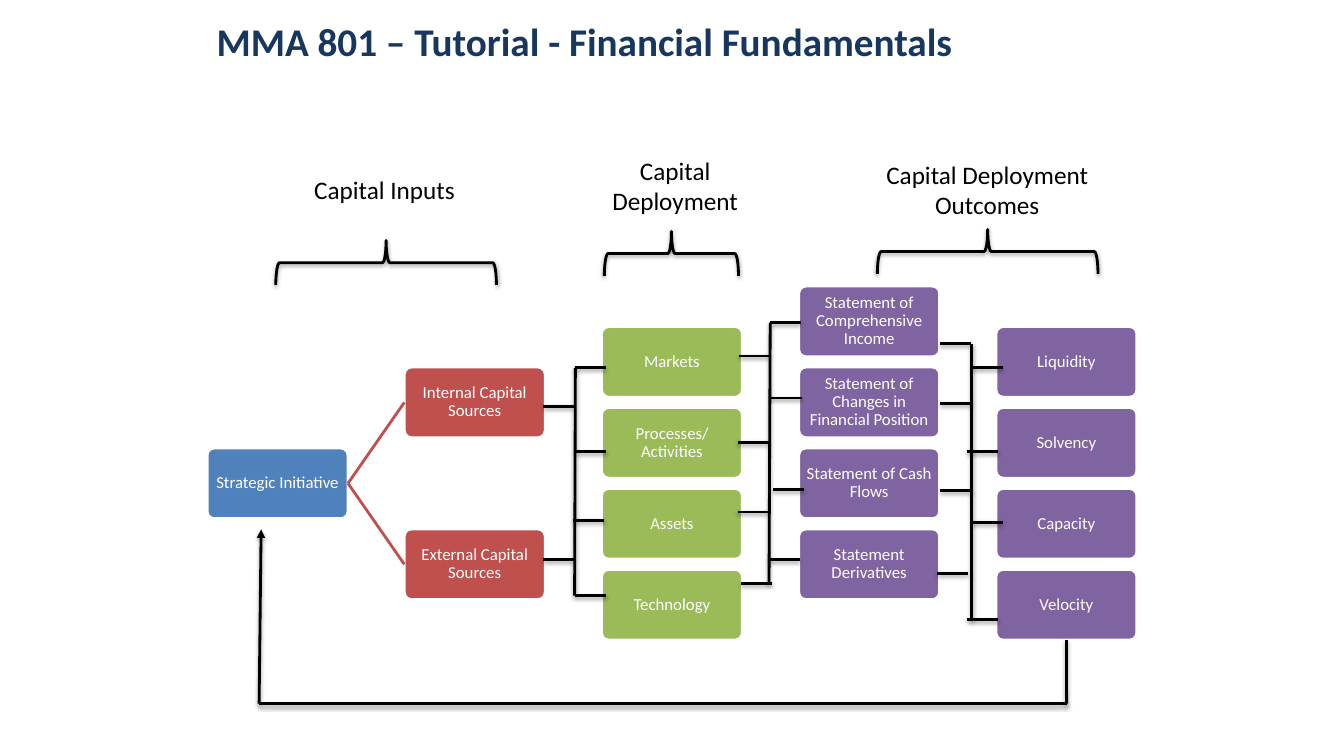
from pptx import Presentation
from pptx.dml.color import RGBColor
from pptx.enum.shapes import MSO_CONNECTOR, MSO_SHAPE
from pptx.enum.text import MSO_ANCHOR as Anchor, MSO_AUTO_SIZE as AutoSize, PP_ALIGN as Align
from pptx.oxml import parse_xml
from pptx.oxml.ns import nsdecls, qn
from pptx.util import Cm, Pt

WHITE = RGBColor(0xFF, 0xFF, 0xFF)
BLACK = RGBColor(0x00, 0x00, 0x00)
NAVY = RGBColor(0x17, 0x37, 0x5E)
BLUE = RGBColor(0x4F, 0x81, 0xBD)
RED = RGBColor(0xC0, 0x50, 0x4D)
GREEN = RGBColor(0x9B, 0xBB, 0x59)
PURPLE = RGBColor(0x80, 0x64, 0xA2)

# The stage grid, in cm; neighbouring boxes in a stage are two half rows apart.
GRID_LEFT, GRID_TOP = 5.22, 7.21
STAGE_PITCH, HALF_ROW = 4.97, 1.02
BOX_WIDTH, BOX_HEIGHT = 3.55, 1.78
STUB_LENGTH = 0.78

# Each stage: colour, then (half row, label) for each box.
STAGES = [
    (BLUE, [(4, "Strategic Initiative")]),
    (RED, [(2, "Internal Capital Sources"), (6, "External Capital Sources")]),
    (GREEN, [(1, "Markets"), (3, "Processes/Activities"),
             (5, "Assets"), (7, "Technology")]),
    (PURPLE, [(0, "Statement of Comprehensive Income"),
              (2, "Statement of Changes in Financial Position"),
              (4, "Statement of Cash Flows"), (6, "Statement Derivatives")]),
    (PURPLE, [(1, "Liquidity"), (3, "Solvency"), (5, "Capacity"), (7, "Velocity")]),
]

# Each bus: trunk start, trunk end, then the left end of every stub.
BUSES = [
    ((14.5, 9.27), (14.48, 15.01),
     [(13.69, 10.24), (13.69, 14.1),
      (14.48, 9.27), (14.5, 11.38), (14.45, 13.11), (14.5, 15.01)]),
    ((19.41, 8.13), (19.38, 14.71),
     [(18.62, 8.97), (18.59, 11.15), (18.59, 12.9), (18.67, 14.71),
      (19.41, 8.13), (19.43, 10.03), (19.48, 12.34), (19.38, 14.1)]),
    ((24.49, 8.66), (24.49, 15.6),
     [(23.7, 8.66), (23.7, 10.16), (23.7, 12.37), (23.62, 14.45),
      (24.49, 9.27), (24.38, 11.38), (24.49, 13.16), (24.38, 15.62)]),
]

# Each phase: label, label area, alignment, brace centre, brace span.
PHASES = [
    ("Capital Inputs", (7.67, 4.27, 4.37, 1.02), Align.LEFT, (9.73, 6.62), 5.56),
    ("Capital Deployment", (14.83, 3.78, 4.37, 1.8), Align.CENTER, (16.92, 6.39), 3.38),
    ("Capital Deployment Outcomes", (21.59, 3.89, 6.58, 1.8), Align.CENTER,
     (24.89, 6.34), 5.56),
]
BRACE_DEPTH = 1.12

BOX_FRAME = {"word_wrap": True, "vertical_anchor": Anchor.MIDDLE,
             "margin_left": Cm(0.03), "margin_right": Cm(0.03),
             "margin_top": Cm(0.03), "margin_bottom": Cm(0.03)}
BOX_PARAGRAPH = {"alignment": Align.CENTER, "line_spacing": 0.9}
BOX_FONT = {"name": "Calibri", "size": Pt(12), "bold": False}
TITLE_FRAME = {"word_wrap": True, "vertical_anchor": Anchor.MIDDLE}
TITLE_FONT = {"name": "Calibri", "size": Pt(28), "bold": True}
LABEL_FRAME = {"word_wrap": True, "auto_size": AutoSize.SHAPE_TO_FIT_TEXT}
LABEL_FONT = {"name": "Calibri", "size": Pt(18), "bold": False}

SOFT_SHADOW = ('<a:outerShdw blurRad="39370" dist="20320" dir="5400000" rotWithShape="0">'
               '<a:srgbClr val="000000"><a:alpha val="38000"/></a:srgbClr></a:outerShdw>')


def apply_format(target, values):
    for name, value in values.items():
        setattr(target, name, value)


def write_text(shape, text, color, frame_format, paragraph_format, font_format):
    frame = shape.text_frame
    frame.text = text
    paragraph = frame.paragraphs[0]
    font = paragraph.runs[0].font
    apply_format(frame, frame_format)
    apply_format(paragraph, paragraph_format)
    apply_format(font, font_format)
    font.color.rgb = color


def set_outline(shape, color, effect=""):
    """Give a 2 pt outline and replace the theme effects with the given one."""
    shape.line.color.rgb = color
    shape.line.width = Pt(2)
    shape.element.spPr.append(
        parse_xml(f"<a:effectLst {nsdecls('a')}>{effect}</a:effectLst>"))


def add_box(slide, stage, half_row, label, color):
    box = slide.shapes.add_shape(
        MSO_SHAPE.ROUNDED_RECTANGLE,
        Cm(GRID_LEFT + stage * STAGE_PITCH), Cm(GRID_TOP + half_row * HALF_ROW),
        Cm(BOX_WIDTH), Cm(BOX_HEIGHT))
    box.adjustments[0] = 0.1
    box.fill.solid()
    box.fill.fore_color.rgb = color
    set_outline(box, WHITE)
    write_text(box, label, WHITE, BOX_FRAME, BOX_PARAGRAPH, BOX_FONT)
    return box


def add_line(slide, start, end, color=BLACK, effect=SOFT_SHADOW):
    line = slide.shapes.add_connector(
        MSO_CONNECTOR.STRAIGHT, *(Cm(length) for length in (*start, *end)))
    set_outline(line, color, effect)
    return line


def add_branch(slide, source, target):
    branch = add_line(slide, (0, 0), (1, 1), RED, "")
    branch.begin_connect(source, 3)
    branch.end_connect(target, 1)


def add_bus(slide, trunk_start, trunk_end, stubs):
    """Draw a trunk with short horizontal stubs on both sides."""
    add_line(slide, trunk_start, trunk_end)
    for left, y in stubs:
        add_line(slide, (left, y), (left + STUB_LENGTH, y))


def add_text(slide, text, area, color, frame_format, alignment, font_format):
    textbox = slide.shapes.add_textbox(*(Cm(length) for length in area))
    write_text(textbox, text, color, frame_format, {"alignment": alignment}, font_format)


def add_brace(slide, center, span):
    """Draw a brace that opens downwards around the given centre."""
    x, y = center
    brace = slide.shapes.add_shape(
        MSO_SHAPE.LEFT_BRACE, Cm(x - BRACE_DEPTH / 2), Cm(y - span / 2),
        Cm(BRACE_DEPTH), Cm(span))
    brace.rotation = 90
    brace.fill.background()
    set_outline(brace, BLACK, SOFT_SHADOW)


def add_feedback_loop(slide, velocity):
    right_corner, left_corner = (26.88, 17.73), (6.53, 17.73)
    drop = add_line(slide, (26.88, 16.13), right_corner)
    drop.begin_connect(velocity, 2)
    add_line(slide, right_corner, left_corner)
    rise = add_line(slide, left_corner, (6.58, 13.34))
    rise.element.spPr.find(qn("a:ln")).append(
        parse_xml(f'<a:tailEnd {nsdecls("a")} type="triangle"/>'))


def main():
    deck = Presentation()
    deck.slide_width, deck.slide_height = Cm(33.87), Cm(19.05)
    slide = deck.slides.add_slide(deck.slide_layouts[6])

    boxes = {}
    for stage, (color, entries) in enumerate(STAGES):
        for half_row, label in entries:
            boxes[label] = add_box(slide, stage, half_row, label, color)
    for source_label in ("Internal Capital Sources", "External Capital Sources"):
        add_branch(slide, boxes["Strategic Initiative"], boxes[source_label])

    add_text(slide, "MMA 801 – Tutorial - Financial Fundamentals",
             (5.21, 0.13, 20.83, 1.8), NAVY, TITLE_FRAME, Align.LEFT, TITLE_FONT)
    for bus in BUSES:
        add_bus(slide, *bus)
    for label, area, alignment, center, span in PHASES:
        add_brace(slide, center, span)
        add_text(slide, label, area, BLACK, LABEL_FRAME, alignment, LABEL_FONT)
    add_feedback_loop(slide, boxes["Velocity"])

    deck.save("out.pptx")


if __name__ == "__main__":
    main()
